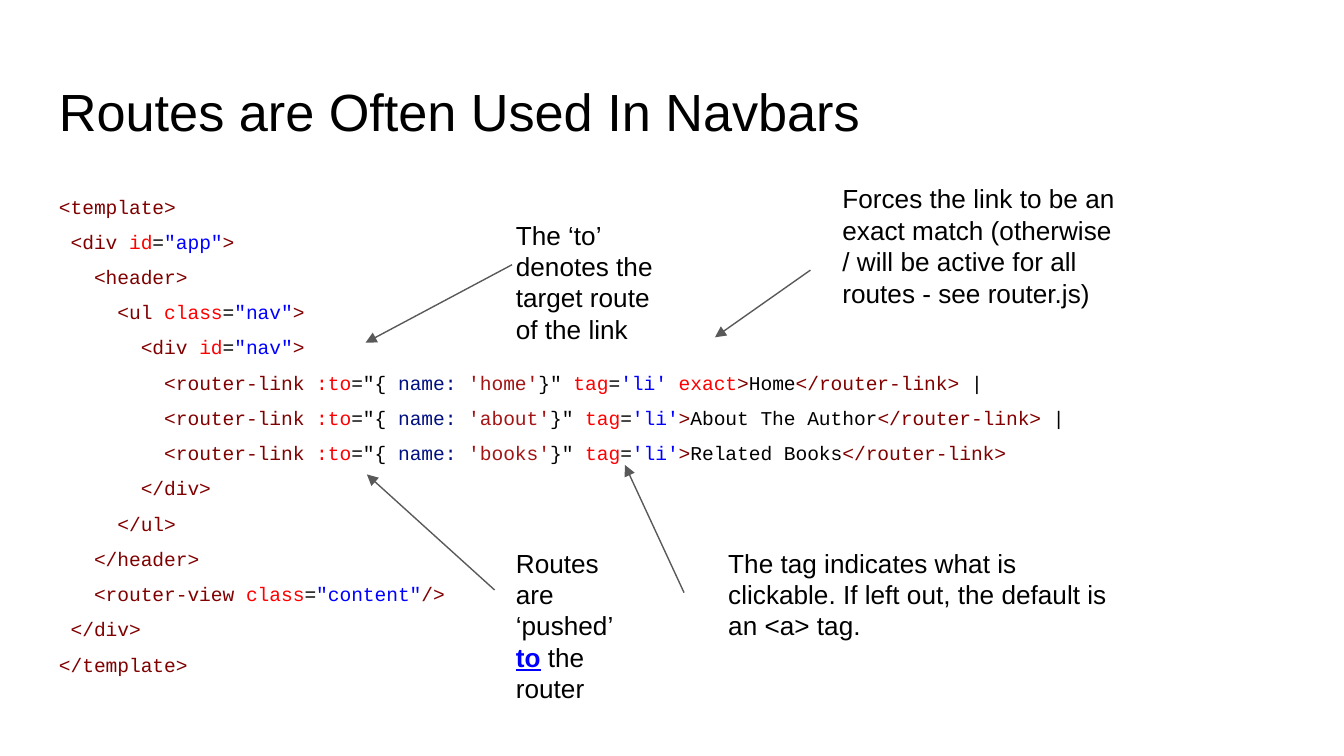
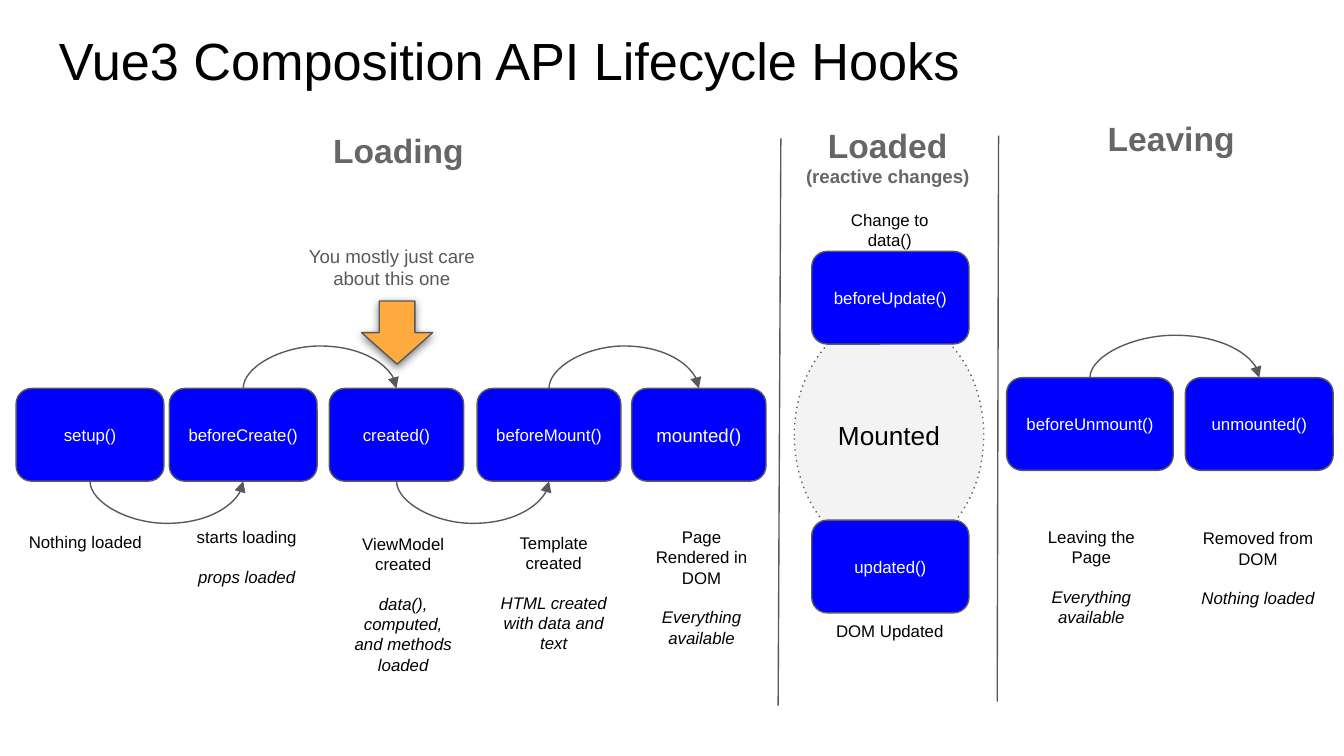
"""Build two slides on routes and lifecycle hooks."""
from dataclasses import dataclass
from typing import NamedTuple

import pptx
import pptx.dml.color
import pptx.enum.dml
import pptx.enum.shapes
import pptx.enum.text
import pptx.oxml
import pptx.oxml.ns
import pptx.shapes.autoshape
import pptx.shapes.connector
import pptx.slide
import pptx.text.text
import pptx.util

Inches = pptx.util.Inches
Pt = pptx.util.Pt
Shape = pptx.shapes.autoshape.Shape
Link = pptx.shapes.connector.Connector
Slide = pptx.slide.Slide
KIND = pptx.enum.shapes.MSO_SHAPE
WIRE = pptx.enum.shapes.MSO_CONNECTOR
ALIGN = pptx.enum.text.PP_ALIGN

SANS, MONO = "Arial", "Courier New"
BLACK, WHITE, BLUE, RED = "000000", "FFFFFF", "0000FF", "FF0000"
MAROON, NAVY, BRICK = "800000", "001080", "A31515"
GREY, SLATE, PALE, AMBER = "595959", "666666", "F3F3F3", "FFAB40"
HOOK_H = 0.69
BEND = 0.25
GAP = 10.5


class Run(NamedTuple):
    """A piece of text in one style."""
    text: str
    size: float = 9
    hue: str = BLACK
    bold: bool = False
    slant: bool = False
    under: bool = False
    font: str = SANS


class Area(NamedTuple):
    """A place on the slide in inches."""
    left: float
    top: float
    width: float
    height: float


@dataclass
class Note:
    """A text box with one tuple of runs for each paragraph."""
    area: Area
    lines: list[tuple[Run, ...]]
    center: bool = True
    space: float = 1
    gap: float = 0


@dataclass
class Hook:
    """A rounded box that names a lifecycle hook."""
    name: str
    left: float
    top: float
    width: float
    size: float = 9


@dataclass
class Line:
    """A straight line between two points."""
    x1: float
    y1: float
    x2: float
    y2: float
    head: bool = True


def color(code: str) -> pptx.dml.color.RGBColor:
    """Turn a hex string into a colour."""
    return pptx.dml.color.RGBColor.from_string(code)


def node(tag: str, body: str = "", **attrs: str):
    """Make one drawing element with attributes and inner markup."""
    pairs = "".join(f' {key}="{val}"' for key, val in attrs.items())
    space = pptx.oxml.ns.nsdecls("a")
    return pptx.oxml.parse_xml(f"<a:{tag} {space}{pairs}>{body}</a:{tag}>")


def write(frame: pptx.text.text.TextFrame, note: Note) -> None:
    """Fill a text frame run by run."""
    frame.word_wrap = True
    for side in ("left", "top", "right", "bottom"):
        setattr(frame, f"margin_{side}", Inches(0.1))
    for num, runs in enumerate(note.lines):
        para = frame.add_paragraph() if num else frame.paragraphs[0]
        para.alignment = ALIGN.CENTER if note.center else ALIGN.LEFT
        para.line_spacing = note.space
        if num and note.gap:
            para.space_before = Pt(note.gap)
        for part in runs:
            run = para.add_run()
            run.text = part.text
            font = run.font
            font.name, font.size = part.font, Pt(part.size)
            font.bold, font.italic = part.bold, part.slant
            font.underline = part.under
            font.color.rgb = color(part.hue)


def add_note(slide: Slide, note: Note) -> None:
    """Add a text box."""
    box = slide.shapes.add_textbox(*map(Inches, note.area))
    write(box.text_frame, note)


def add_title(slide: Slide, text: str, top: float) -> None:
    """Add the slide title."""
    add_note(slide, Note(Area(0.34, top, 9.32, 0.63), [(Run(text, 28),)], False))


def add_form(slide: Slide, kind: KIND, area: Area, fill: str, *runs: Run) -> Shape:
    """Add a filled shape with a thin grey line and centred text."""
    form = slide.shapes.add_shape(kind, *map(Inches, area))
    form.shadow.inherit = False
    form.fill.solid()
    form.fill.fore_color.rgb = color(fill)
    form.line.color.rgb = color(GREY)
    form.line.width = Pt(0.75)
    if runs:
        write(form.text_frame, Note(area, [runs]))
        form.text_frame.vertical_anchor = pptx.enum.text.MSO_ANCHOR.MIDDLE
    return form


def add_hook(slide: Slide, hook: Hook) -> Shape:
    """Add one hook box."""
    area = Area(hook.left, hook.top, hook.width, HOOK_H)
    return add_form(slide, KIND.ROUNDED_RECTANGLE, area, BLUE,
                    Run(hook.name, hook.size, WHITE))


def ink(link: Link, head: bool) -> None:
    """Style a line and give it an arrowhead if asked."""
    link.line.color.rgb = color(GREY)
    link.line.width = Pt(0.75)
    if head:
        link.line._get_or_add_ln().append(node("tailEnd", type="triangle"))
    link._element.spPr.append(node("effectLst"))


def add_line(slide: Slide, line: Line) -> None:
    """Add a straight line."""
    ends = map(Inches, (line.x1, line.y1, line.x2, line.y2))
    ink(slide.shapes.add_connector(WIRE.STRAIGHT, *ends), line.head)


def add_arc(slide: Slide, start: Shape, end: Shape, above: bool) -> None:
    """Join two boxes with a curved arrow above or below them."""
    first, last = (box.left + box.width // 2 for box in (start, end))
    level = start.top if above else start.top + start.height
    thin, span = Inches(0.01) // 16, last - first
    link = slide.shapes.add_connector(WIRE.CURVE, first, level, last, level)
    site = 0 if above else 2
    link.begin_connect(start, site)
    link.end_connect(end, site)
    link.left, link.top = (first + last - thin) // 2, level - span // 2
    link.width, link.height = thin, span
    props = link._element.spPr
    props.xfrm.set("rot", "16200000")
    props.xfrm.set("flipH", "1")
    bend = round(Inches(-BEND if above else BEND) / thin * 100000)
    preset = props.find(pptx.oxml.ns.qn("a:prstGeom"))
    guide = node("gd", name="adj1", fmla=f"val {bend}")
    preset.find(pptx.oxml.ns.qn("a:avLst")).append(guide)
    ink(link, True)


def code(text: str, hue: str = BLACK) -> Run:
    """Make a run of code."""
    return Run(text, 10.5, hue, font=MONO)


def row(depth: int, *runs: Run) -> tuple[Run, ...]:
    """Make a line of code at a depth."""
    return (code(" " * (2 * depth - 1)), *runs) if depth else runs


def tag(depth: int, text: str) -> tuple[Run, ...]:
    """Make a line with a plain tag."""
    return row(depth, code(text, MAROON))


def pair(depth: int, name: str, key: str, val: str, end: str = ">") -> tuple[Run, ...]:
    """Make a line with a tag that has one attribute."""
    return row(depth, code(f"<{name}", MAROON), code(" "), code(key, RED),
               code("="), code(f'"{val}"', BLUE), code(end, MAROON))


def route(name: str, label: str, exact: bool = False, last: bool = False) -> tuple[Run, ...]:
    """Make a line with a router link."""
    extra = (code(" "), code("exact", RED)) if exact else ()
    bar = () if last else (code(" |"),)
    return row(5, code("<router-link", MAROON), code(" "), code(":to", RED),
               code('="{ '), code("name:", NAVY), code(" "),
               code(f"'{name}'", BRICK), code('}" '), code("tag", RED), code("="),
               code("'li'", BLUE), *extra, code(">", MAROON), code(label),
               code("</router-link>", MAROON), *bar)


def draw_routes(slide: Slide) -> None:
    """Draw the slide on routes in navbars."""
    add_title(slide, "Routes are Often Used In Navbars", 0.49)
    add_note(slide, Note(Area(0.34, 1.26, 9.32, 3.74), [
        tag(0, "<template>"),
        pair(1, "div", "id", "app"),
        tag(2, "<header>"),
        pair(3, "ul", "class", "nav"),
        pair(4, "div", "id", "nav"),
        route("home", "Home", exact=True),
        route("about", "About The Author"),
        route("books", "Related Books", last=True),
        tag(4, "</div>"),
        tag(3, "</ul>"),
        tag(2, "</header>"),
        pair(2, "router-view", "class", "content", "/>"),
        tag(1, "</div>"),
        tag(0, "</template>"),
    ], False, 1.5))
    for line in (Line(3.81, 1.97, 2.72, 2.55), Line(6.03, 2.01, 5.32, 2.51),
                 Line(5.09, 4.41, 4.65, 3.46), Line(3.68, 4.39, 2.73, 3.53)):
        add_line(slide, line)
    hints = [
        (Area(3.74, 1.53, 1.26, 0.37),
         (Run("The ‘to’ denotes the target route of the link", 14),)),
        (Area(5.32, 3.97, 3.08, 1.12),
         (Run("The tag indicates what is clickable. If left out, "
              "the default is an <a> tag.", 14),)),
        (Area(3.74, 3.97, 1.09, 1.53),
         (Run("Routes are ‘pushed’ ", 14), Run("to", 14, BLUE, True, under=True),
          Run(" ", 14, BLUE, True), Run("the router", 14))),
        (Area(6.17, 1.26, 2.23, 0.68),
         (Run("Forces the link to be an exact match (otherwise / will be "
              "active for all routes - see router.js)", 14),)),
    ]
    for area, runs in hints:
        add_note(slide, Note(area, [runs], False))


def draw_hooks(slide: Slide) -> None:
    """Draw the slide on lifecycle hooks."""
    ring = add_form(slide, KIND.OVAL, Area(5.91, 2.35, 1.41, 1.78), PALE, Run("Mounted", 14))
    ring.line.dash_style = pptx.enum.dml.MSO_LINE.ROUND_DOT
    ring.line._get_or_add_ln().find(pptx.oxml.ns.qn("a:prstDash")).set("val", "dot")
    add_title(slide, "Vue3 Composition API Lifecycle Hooks", 0.11)

    load, leave = 2.89, 2.81
    hooks = [
        Hook("setup()", 0.12, load, 1.1),
        Hook("beforeCreate()", 1.26, load, 1.1),
        Hook("created()", 2.45, load, 1),
        Hook("beforeMount()", 3.55, load, 1.07),
        Hook("mounted()", 4.7, load, 1, 10),
        Hook("beforeUpdate()", 6.04, 1.87, 1.17),
        Hook("updated()", 6.04, 3.87, 1.17),
        Hook("beforeUnmount()", 7.49, leave, 1.24),
        Hook("unmounted()", 8.82, leave, 1.1),
    ]
    boxes = [add_hook(slide, hook) for hook in hooks]
    for num in range(4):
        add_arc(slide, boxes[num], boxes[num + 1], num % 2 == 1)
    add_arc(slide, boxes[7], boxes[8], True)
    add_line(slide, Line(5.81, 1.03, 5.79, 5.25, False))
    add_line(slide, Line(7.43, 1.01, 7.42, 5.22, False))

    heads = [("Loading", Area(0.12, 0.87, 5.69, 0.38)),
             ("Loaded", Area(5.79, 0.83, 1.63, 0.69)),
             ("Leaving", Area(7.43, 0.78, 2.57, 0.38))]
    for text, area in heads:
        lines = [(Run(text, 18, SLATE, True),)]
        if text == "Loaded":
            lines.append((Run("(reactive changes)", 10, SLATE, True),))
        add_note(slide, Note(area, lines))

    states = [
        (Area(0.1, 3.88, 1.07, 0.49), "Nothing loaded", ""),
        (Area(1.3, 3.82, 1.07, 0.52), "starts loading", "props loaded"),
        (Area(2.5, 3.87, 1, 1.21), "ViewModel created",
         "data(), computed, and methods loaded"),
        (Area(3.62, 3.86, 1, 1.05), "Template created",
         "HTML created with data and text"),
        (Area(4.72, 3.82, 1, 1.05), "Page Rendered in DOM", "Everything available"),
        (Area(7.57, 3.82, 1.1, 0.94), "Leaving the Page", "Everything available"),
        (Area(8.81, 3.83, 1.1, 0.76), "Removed from DOM", "Nothing loaded"),
        (Area(6.07, 1.46, 1.1, 0.49), "Change to data()", ""),
        (Area(6.07, 4.54, 1.1, 0.49), "DOM Updated", ""),
    ]
    for area, event, ready in states:
        lines = [(Run(event),)] + ([(Run(ready, slant=True),)] if ready else [])
        add_note(slide, Note(area, lines, gap=GAP))

    arrow = add_form(slide, KIND.DOWN_ARROW, Area(2.69, 2.24, 0.53, 0.47), AMBER)
    tint = '<a:srgbClr val="000000"><a:alpha val="50000"/></a:srgbClr>'
    shade = node("outerShdw", tint, blurRad=str(Pt(4.5)), dist=str(Pt(1.5)),
                 dir="5400000", algn="bl", rotWithShape="0")
    arrow._element.spPr.find(pptx.oxml.ns.qn("a:effectLst")).append(shade)
    add_note(slide, Note(Area(2.05, 1.72, 1.73, 0.52), [
        (Run("You mostly just care", 10, GREY),), (Run("about this one", 10, GREY),)]))


def main() -> None:
    """Build and save the deck."""
    deck = pptx.Presentation()
    deck.slide_width = Inches(10)
    deck.slide_height = deck.slide_width * 9 // 16
    for draw in (draw_routes, draw_hooks):
        draw(deck.slides.add_slide(deck.slide_layouts[6]))
    deck.save("out.pptx")


if __name__ == "__main__":
    main()
